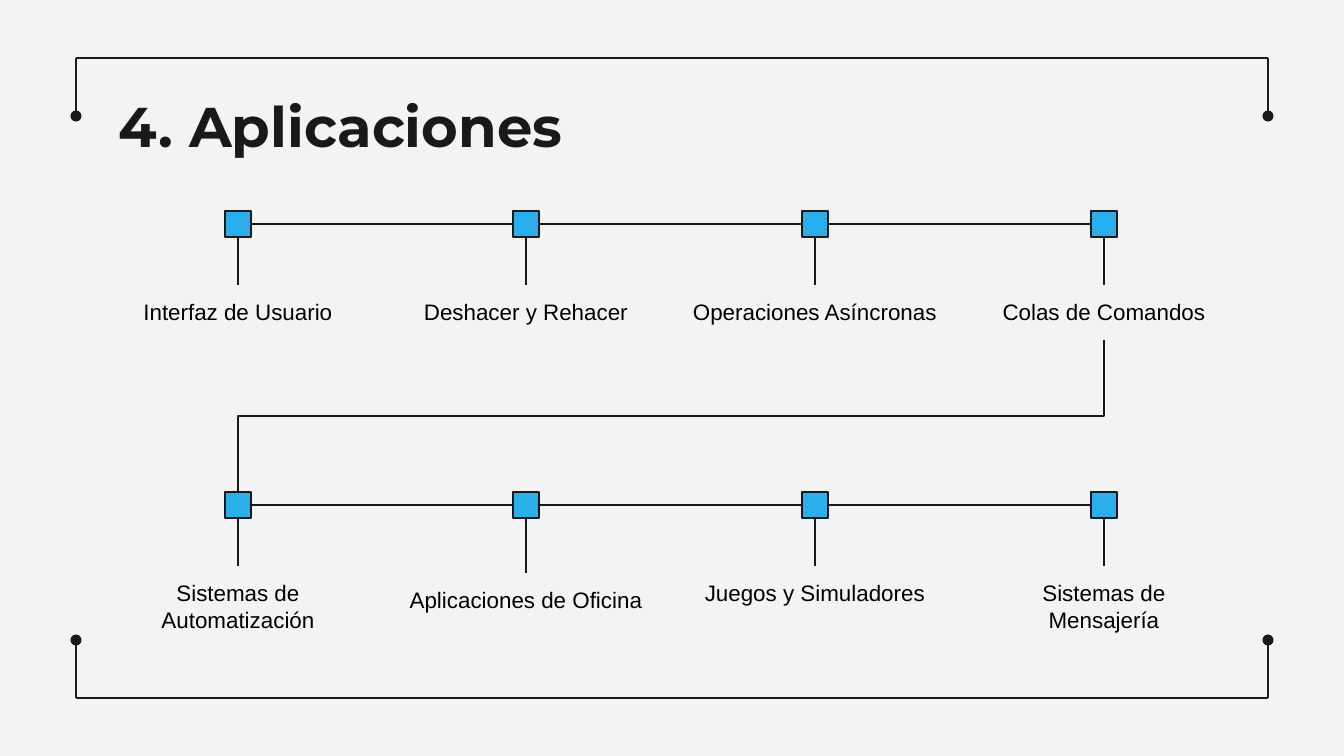
"""Build a slide with a two-row chain of uses, set in a ruled frame."""
import pptx
import pptx.util
import pptx.dml.color
import pptx.enum.shapes
import pptx.enum.text
import pptx.oxml

PX = 6804
HUES = {"back": "F3F3F3", "ink": "191919", "box": "2AAFEB", "text": "000000"}
NS = 'xmlns:a="http://schemas.openxmlformats.org/drawingml/2006/main"'
KINDS = pptx.enum.shapes.MSO_CONNECTOR
ALIGN = pptx.enum.text.PP_ALIGN


def hue(name):
    return pptx.dml.color.RGBColor.from_string(HUES[name])


def wire(ends, kind=KINDS.STRAIGHT, dot=False):
    link = slide.shapes.add_connector(kind, *[n * PX for n in ends])
    link.line.color.rgb = hue("ink")
    link.line.width = pptx.util.Pt(0.75)
    if dot:
        link.line._get_or_add_ln().append(
            pptx.oxml.parse_xml(f'<a:tailEnd {NS} type="oval"/>'))
    link._element.spPr.append(pptx.oxml.parse_xml(f"<a:effectLst {NS}/>"))
    return link


def write(shape, words, look, align):
    frame = shape.text_frame
    form = {"word_wrap": True, "auto_size": pptx.enum.text.MSO_AUTO_SIZE.NONE,
            "vertical_anchor": pptx.enum.text.MSO_ANCHOR.TOP}
    form.update({f"margin_{side}": 13 * PX
                 for side in ("left", "top", "right", "bottom")})
    for key, val in form.items():
        setattr(frame, key, val)
    frame.text = words
    para = frame.paragraphs[0]
    para.alignment = align
    font = para.runs[0].font
    for key, val in look.items():
        setattr(font, key, val)


deck = pptx.Presentation()
deck.slide_width, deck.slide_height = 1344 * PX, 756 * PX
slide = deck.slides.add_slide(deck.slide_layouts[5])
fill = slide.background.fill
fill.solid()
fill.fore_color.rgb = hue("back")

for edge, tip in ((58, 116), (698, 640)):
    wire((76, edge, 1268, edge))
    for x in (76, 1268):
        wire((x, edge, x, tip), dot=True)

title = slide.shapes.title
place = {"left": 106, "top": 79, "width": 1133, "height": 85}
for key, val in place.items():
    setattr(title, key, val * PX)
write(title, "4. Aplicaciones",
      {"name": "Montserrat", "size": pptx.util.Pt(30), "bold": True}, ALIGN.LEFT)
title.text_frame.paragraphs[0].runs[0].font.color.rgb = hue("ink")

HALF = 13
STEMS = [238 + 866 * i // 3 for i in range(4)]
ROWS = [
    (224, [("Interfaz de Usuario", 285, 266), ("Deshacer y Rehacer", 285, 266),
           ("Operaciones Asíncronas", 285, 278), ("Colas de Comandos", 285, 266)]),
    (505, [("Sistemas de Automatización", 566, 266),
           ("Aplicaciones de Oficina", 573, 266),
           ("Juegos y Simuladores", 566, 266), ("Sistemas de Mensajería", 566, 266)]),
]
for mid, notes in ROWS:
    for x, (words, top, wide) in zip(STEMS, notes):
        node = slide.shapes.add_shape(
            pptx.enum.shapes.MSO_SHAPE.RECTANGLE,
            (x - HALF) * PX, (mid - HALF) * PX, 2 * HALF * PX, 2 * HALF * PX)
        node.shadow.inherit = False
        node.fill.solid()
        node.fill.fore_color.rgb = hue("box")
        node.line.color.rgb = hue("ink")
        node.line.width = pptx.util.Pt(0.75)
        note = slide.shapes.add_textbox(
            (x - wide // 2) * PX, top * PX, wide * PX, 55 * PX)
        write(note, words, {"name": "Arial", "size": pptx.util.Pt(12)}, ALIGN.CENTER)
        note.text_frame.paragraphs[0].runs[0].font.color.rgb = hue("text")
        wire((x, mid + HALF, x, top))
    for x, far in zip(STEMS, STEMS[1:]):
        wire((x + HALF, mid, far - HALF, mid))

bend = wire((595, -17, 747, 849), KINDS.ELBOW)
bend._element.spPr.xfrm.set("rot", "5400000")

deck.save("out.pptx")
